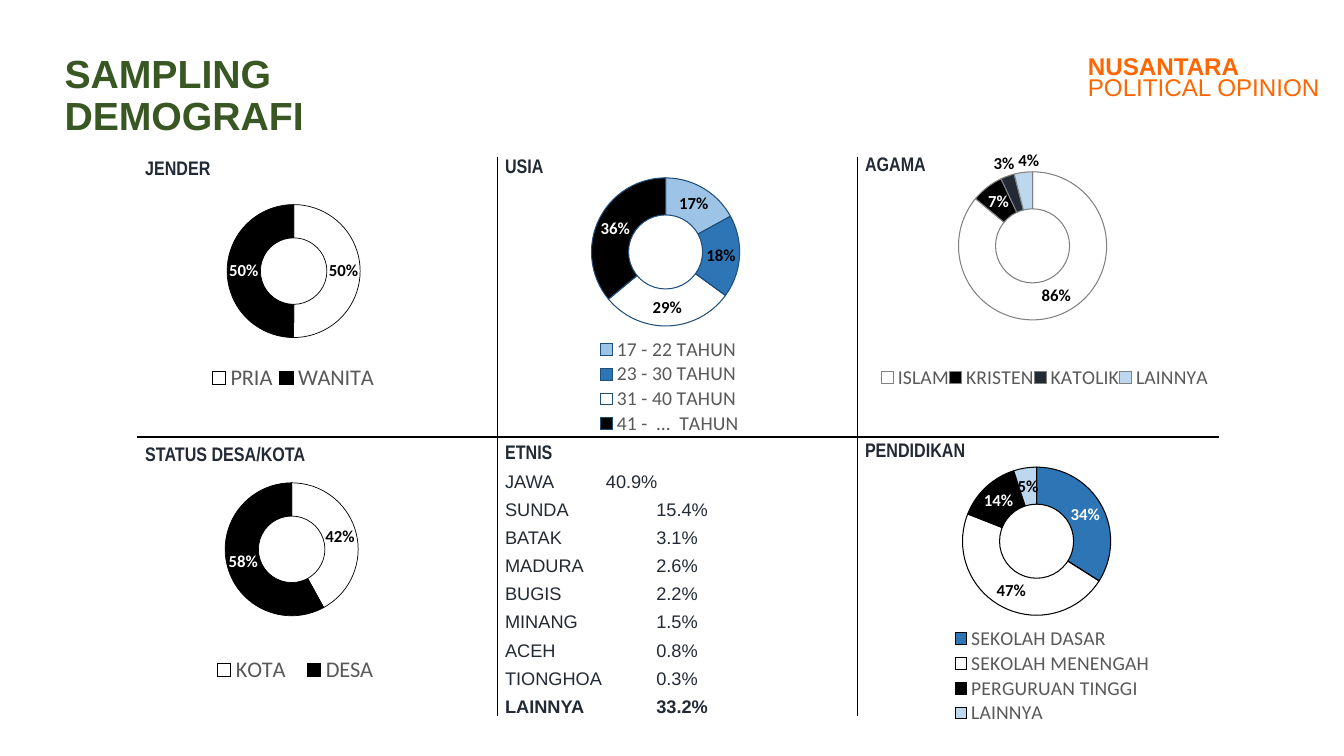
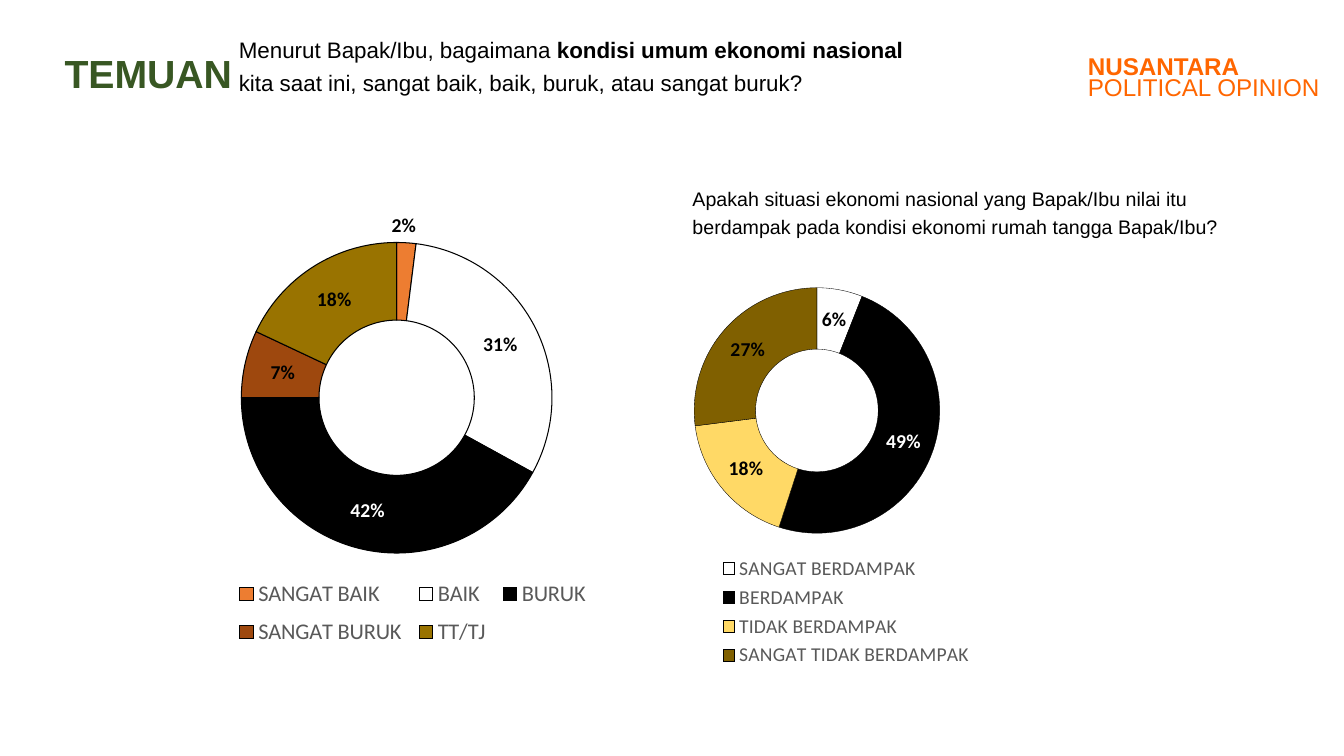
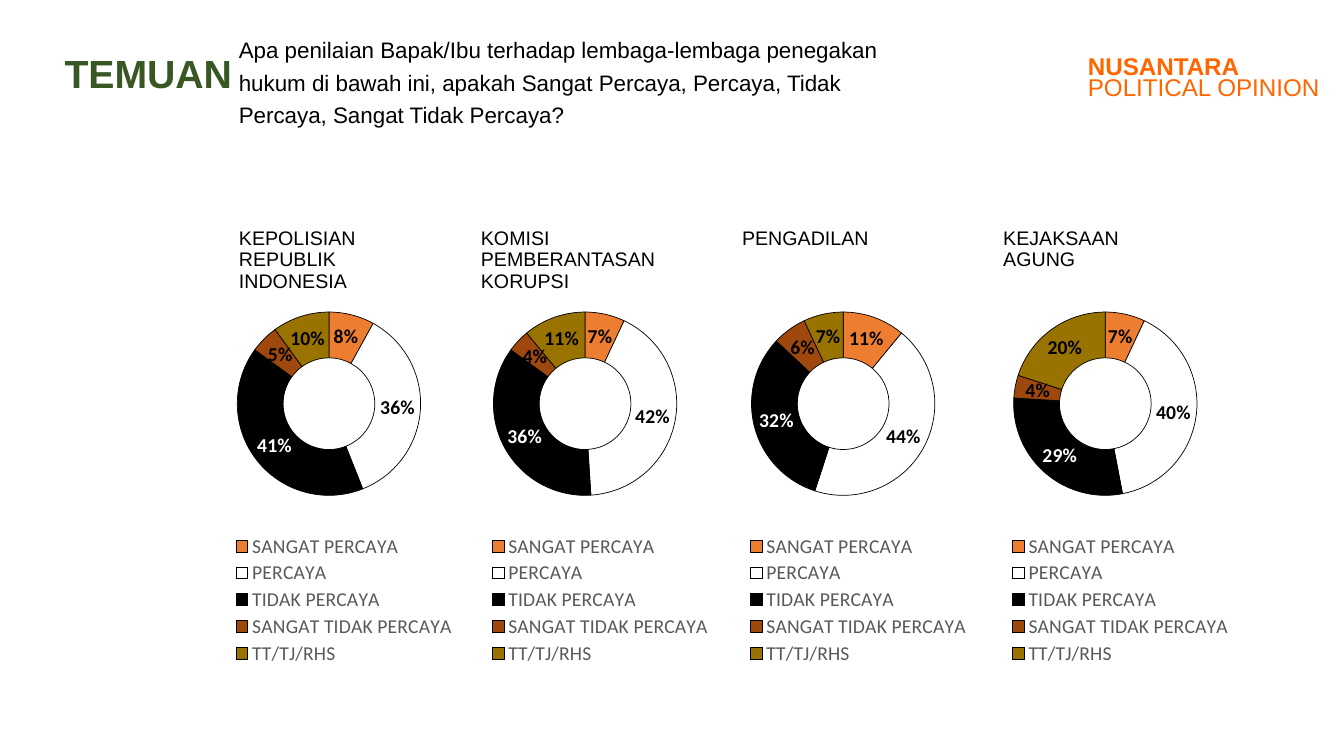
from dataclasses import dataclass

from lxml.etree import SubElement
from pptx import Presentation
from pptx.chart.data import CategoryChartData
from pptx.dml.color import RGBColor
from pptx.enum.chart import XL_CHART_TYPE, XL_LEGEND_POSITION
from pptx.enum.text import MSO_ANCHOR, MSO_AUTO_SIZE, PP_ALIGN
from pptx.oxml.ns import qn
from pptx.util import Inches, Pt


@dataclass(frozen=True)
class Theme:
    """Colours, fonts and type sizes shared by the slides."""
    green: str = "385723"
    brand: str = "FF6600"
    navy: str = "222A35"
    black: str = "000000"
    white: str = "FFFFFF"
    grey: str = "808080"
    legend: str = "595959"
    pale: str = "BDD7EE"
    sky: str = "9DC3E6"
    blue: str = "2E75B6"
    deep: str = "1F4E79"
    orange: str = "ED7D31"
    rust: str = "9E480E"
    olive: str = "997300"
    yellow: str = "FFD966"
    brown: str = "806000"
    sans: str = "Arial"
    narrow: str = "Arial Narrow"
    chart: str = "Calibri"
    title_pt: float = 28
    brand_pt: float = 17.3
    question_pt: float = 16
    head_pt: float = 14
    list_pt: float = 13


T = Theme()
INSETS = (0.11, 0.05, 0.11, 0.05)
SCALE_FILLS = (T.orange, T.white, T.black, T.rust, T.olive)


def rgb(color):
    """Turn a hex string into a colour."""
    return RGBColor.from_string(color)


def style_font(font, size, color, name=T.sans, bold=False):
    """Set size, colour, face and weight of a font."""
    font.size, font.name, font.bold = Pt(size), name, bold
    font.color.rgb = rgb(color)


def place(sp, box):
    """Move a shape to a box given in inches."""
    sp.left, sp.top, sp.width, sp.height = map(Inches, box)


def setup_frame(tf, insets=INSETS):
    """Make a text frame wrap from the top with fixed insets."""
    tf.word_wrap = True
    tf.auto_size = MSO_AUTO_SIZE.NONE
    tf.vertical_anchor = MSO_ANCHOR.TOP
    tf.margin_left, tf.margin_top, tf.margin_right, tf.margin_bottom = map(Inches, insets)


def space(p, line=0.9, before=10):
    """Set left alignment and the spacing of a paragraph."""
    p.alignment = PP_ALIGN.LEFT
    p.line_spacing, p.space_before = line, Pt(before)


def add_label(s, box, text, size, color, name=T.sans, bold=False):
    """Add a one-paragraph label."""
    tf = s.shapes.add_textbox(*map(Inches, box)).text_frame
    setup_frame(tf)
    p = tf.paragraphs[0]
    p.text = text
    space(p)
    style_font(p.font, size, color, name, bold)


def add_question(s, box, parts, size):
    """Add a survey question; every second part is bold."""
    tf = s.shapes.add_textbox(*map(Inches, box)).text_frame
    setup_frame(tf, (0.1, 0.05, 0.1, 0.05))
    p = tf.paragraphs[0]
    space(p, 1.2, 0)
    style_font(p.font, size, T.black)
    for i, part in enumerate(parts):
        r = p.add_run()
        r.text = part
        if i % 2:
            r.font.bold = True


def new_slide(prs, title):
    """Add a slide with its title and the pollster's name."""
    s = prs.slides.add_slide(prs.slide_layouts[5])
    sp = s.shapes.title
    place(sp, (0.53, 0.49, 4.7, 0.45))
    setup_frame(sp.text_frame)
    p = sp.text_frame.paragraphs[0]
    p.text = title
    space(p)
    style_font(p.font, T.title_pt, T.green, bold=True)
    add_label(s, (10.68, 0.49, 2.53, 0.45), "NUSANTARA", T.brand_pt, T.brand, bold=True)
    add_label(s, (10.68, 0.7, 2.53, 0.45), "POLITICAL OPINION", T.brand_pt, T.brand)
    return s


def set_layout(layout, **values):
    """Fill a chart layout element with manual values."""
    manual = SubElement(layout, qn("c:manualLayout"))
    for tag, val in values.items():
        SubElement(manual, qn(f"c:{tag}")).set("val", str(val))


def box_layout(box):
    """Name the four fractions of a chart region."""
    return dict(xMode="edge", yMode="edge", **dict(zip("xywh", box)))


def label_point(point, size, color, offset):
    """Show a point's percentage, moved by an offset if one is given."""
    style_font(point.data_label.font, size, color, T.chart, True)
    label = point.data_label.font._element.getparent().getparent().getparent()
    while label.tag != qn("c:dLbl"):
        label = label.getparent()
    label.find(qn("c:showVal")).set("val", "0")
    label.find(qn("c:showPercent")).set("val", "1")
    if offset:
        layout = label.makeelement(qn("c:layout"))
        label.find(qn("c:idx")).addnext(layout)
        set_layout(layout, x=offset[0], y=offset[1])


def add_donut(s, box, cats, vals, fills, plot_box, legend_box, legend_pt=14, label_pt=14,
              line=(T.black, 0.5), colors=None, offsets=None):
    """Add a doughnut chart; plot and legend boxes are fractions of its box."""
    data = CategoryChartData()
    data.categories = cats
    data.add_series("Series 1", vals)
    chart = s.shapes.add_chart(XL_CHART_TYPE.DOUGHNUT, *map(Inches, box), data).chart
    chart.has_title = False
    style_font(chart.font, 10, T.black, T.chart)

    chart.has_legend = True
    legend = chart.legend
    legend.position = XL_LEGEND_POSITION.TOP
    legend.include_in_layout = False
    style_font(legend.font, legend_pt, T.legend, T.chart)
    root = legend._element
    for old in root.findall(qn("c:layout")):
        root.remove(old)
    layout = root.makeelement(qn("c:layout"))
    root.find(qn("c:legendPos")).addnext(layout)
    set_layout(layout, **box_layout(legend_box))

    area = root.getparent().find(qn("c:plotArea"))
    for old in area.findall(qn("c:layout")):
        area.remove(old)
    layout = area.makeelement(qn("c:layout"))
    area.insert(0, layout)
    set_layout(layout, layoutTarget="inner", **box_layout(plot_box))

    chart.plots[0].vary_by_categories = True
    series = chart.plots[0].series[0]
    labels = series.data_labels
    labels.show_percentage, labels.show_value = True, False
    labels.number_format, labels.number_format_is_linked = "0%", False
    for i, fill in enumerate(fills):
        point = series.points[i]
        if fill:
            point.format.fill.solid()
            point.format.fill.fore_color.rgb = rgb(fill)
        else:
            point.format.fill.background()
        point.format.line.color.rgb = rgb(line[0])
        point.format.line.width = Pt(line[1])
        color = (colors or {}).get(i, T.white if fill == T.black else T.black)
        label_point(point, label_pt, color, (offsets or {}).get(i))


def add_grid(s, box, rows, cols):
    """Add an empty table that shows only its inner rules."""
    table = s.shapes.add_table(rows, cols, *map(Inches, box)).table
    table.first_row = table.horz_banding = False
    for i in range(rows):
        for j in range(cols):
            cell = table.cell(i, j)
            tc_pr = cell._tc.get_or_add_tcPr()
            inner = dict(L=j > 0, R=j < cols - 1, T=i > 0, B=i < rows - 1)
            for side, shown in inner.items():
                ln = SubElement(tc_pr, qn(f"a:ln{side}"), w=str(Pt(1)))
                fill = SubElement(ln, qn("a:solidFill"))
                SubElement(fill, qn("a:srgbClr"), val=T.black if shown else T.white)
            cell.fill.background()


def add_shares(s, box, shares):
    """List names with tabbed shares; the last line is bold."""
    tf = s.shapes.add_textbox(*map(Inches, box)).text_frame
    setup_frame(tf)
    for i, (name, share) in enumerate(shares):
        p = tf.paragraphs[0] if i == 0 else tf.add_paragraph()
        p.text = f"{name}\t\t{share}%"
        space(p, before=6)
        style_font(p.font, T.list_pt, T.navy, bold=i == len(shares) - 1)


def demography_slide(prs):
    """Build the grid of sample demographics."""
    s = new_slide(prs, "SAMPLING DEMOGRAFI")
    add_grid(s, (1.36, 1.56, 10.72, 5.55), 2, 3)
    ring = dict(plot_box=(0.228, 0.075, 0.468, 0.49), label_pt=12)
    add_donut(s, (1.61, 1.81, 2.82, 2.75), ["PRIA", "WANITA"], [50, 50],
              [T.white, T.black], legend_box=(0.15, 0.65, 0.62, 0.11), legend_pt=16, **ring)
    add_donut(s, (5.1, 1.54, 3.25, 3),
              ["17 - 22 TAHUN", "23 - 30 TAHUN", "31 - 40 TAHUN", "41 -  …  TAHUN"],
              [17, 18, 29, 36], [T.sky, T.blue, None, T.black],
              legend_box=(0.24, 0.6, 0.47, 0.33), line=(T.deep, 0.75), **ring)
    add_donut(s, (8.74, 1.48, 3.25, 3), ["ISLAM", "KRISTEN", "KATOLIK", "LAINNYA"],
              [86, 7, 3, 4], [None, T.black, T.navy, T.pale],
              legend_box=(0, 0.7, 1, 0.11), line=(T.grey, 0.75),
              offsets={2: (-0.03, -0.1), 3: (0.01, -0.1)}, **ring)
    add_donut(s, (1.59, 4.57, 2.82, 2.75), ["KOTA", "DESA"], [42, 58],
              [T.white, T.black], legend_box=(0.15, 0.7, 0.65, 0.11), legend_pt=16, **ring)
    add_donut(s, (8.78, 4.41, 3.25, 3),
              ["SEKOLAH DASAR", "SEKOLAH MENENGAH", "PERGURUAN TINGGI", "LAINNYA"],
              [34, 47, 14, 5], [T.blue, None, T.black, T.pale],
              legend_box=(0.18, 0.6, 0.66, 0.33), line=(T.black, 0.75),
              colors={0: T.white}, **ring)

    heads = [["JENDER", "USIA", "AGAMA"], ["STATUS DESA/KOTA", "ETNIS", "PENDIDIKAN"]]
    for i, row in enumerate(heads):
        for j, head in enumerate(row):
            box = (1.33 + 3.57 * j, 1.52 + 2.84 * i - 0.02 * j, 3.94, 0.45)
            add_label(s, box, head, T.head_pt, T.navy, T.narrow, True)
    add_shares(s, (4.9, 4.64, 3.07, 2.52), [
        ("JAWA", 40.9), ("SUNDA", 15.4), ("BATAK", 3.1), ("MADURA", 2.6), ("BUGIS", 2.2),
        ("MINANG", 1.5), ("ACEH", 0.8), ("TIONGHOA", 0.3), ("LAINNYA", 33.2)])


def economy_slide(prs):
    """Build the two findings on the economy."""
    s = new_slide(prs, "TEMUAN")
    add_question(s, (2.27, 0.26, 6.79, 0.75), [
        "Menurut Bapak/Ibu, bagaimana ", "kondisi umum ekonomi nasional ",
        "kita saat ini, sangat baik, baik, buruk, atau sangat buruk?"], T.question_pt)
    add_donut(s, (1.42, 1.9, 5.35, 5.01),
              ["SANGAT BAIK", "BAIK", "BURUK", "SANGAT BURUK", "TT/TJ"],
              [2, 31, 42, 7, 18], SCALE_FILLS, (0.182, 0.095, 0.576, 0.627),
              (0.16, 0.75, 0.68, 0.17), legend_pt=16, line=(T.black, 0.75),
              offsets={0: (0, -0.11)})
    add_question(s, (6.77, 1.76, 5.57, 0.67), [
        "Apakah situasi ekonomi nasional yang Bapak/Ibu nilai itu berdampak "
        "pada kondisi ekonomi rumah tangga Bapak/Ibu?"], T.head_pt)
    add_donut(s, (6.43, 2.63, 3.85, 4.25),
              ["SANGAT BERDAMPAK", "BERDAMPAK", "TIDAK BERDAMPAK", "SANGAT TIDAK BERDAMPAK"],
              [6, 49, 18, 27], [T.white, T.black, T.yellow, T.brown],
              (0.118, 0.053, 0.633, 0.573), (0.17, 0.67, 0.68, 0.28), line=(T.black, 0.25))


def trust_slide(prs):
    """Build the row of trust ratings, one ring for each institution."""
    s = new_slide(prs, "TEMUAN")
    add_question(s, (2.27, 0.26, 6.79, 1.07), [
        "Apa penilaian Bapak/Ibu terhadap lembaga-lembaga penegakan hukum di bawah ini, "
        "apakah Sangat Percaya, Percaya, Tidak Percaya, Sangat Tidak Percaya?"], T.question_pt)
    answers = ["SANGAT PERCAYA", "PERCAYA", "TIDAK PERCAYA", "SANGAT TIDAK PERCAYA", "TT/TJ/RHS"]
    ratings = [
        ("KEPOLISIAN REPUBLIK INDONESIA", 2.26, 1.38, [8, 36, 41, 5, 10]),
        ("KOMISI PEMBERANTASAN KORUPSI", 4.66, 3.92, [7, 42, 36, 4, 11]),
        ("PENGADILAN", 7.25, 6.48, [11, 44, 32, 6, 7]),
        ("KEJAKSAAN AGUNG", 9.84, 9.08, [7, 40, 29, 4, 20])]
    for name, head_left, ring_left, vals in ratings:
        add_donut(s, (ring_left, 2.62, 5.35, 5.01), answers, vals, SCALE_FILLS,
                  (0.182, 0.095, 0.34, 0.363), (0.16, 0.53, 0.44, 0.27))
        add_label(s, (head_left, 2.22, 1.99, 0.45), name, T.head_pt, T.black)


prs = Presentation()
prs.slide_width, prs.slide_height = Inches(13.33), Inches(7.5)
demography_slide(prs)
economy_slide(prs)
trust_slide(prs)
prs.save("out.pptx")
